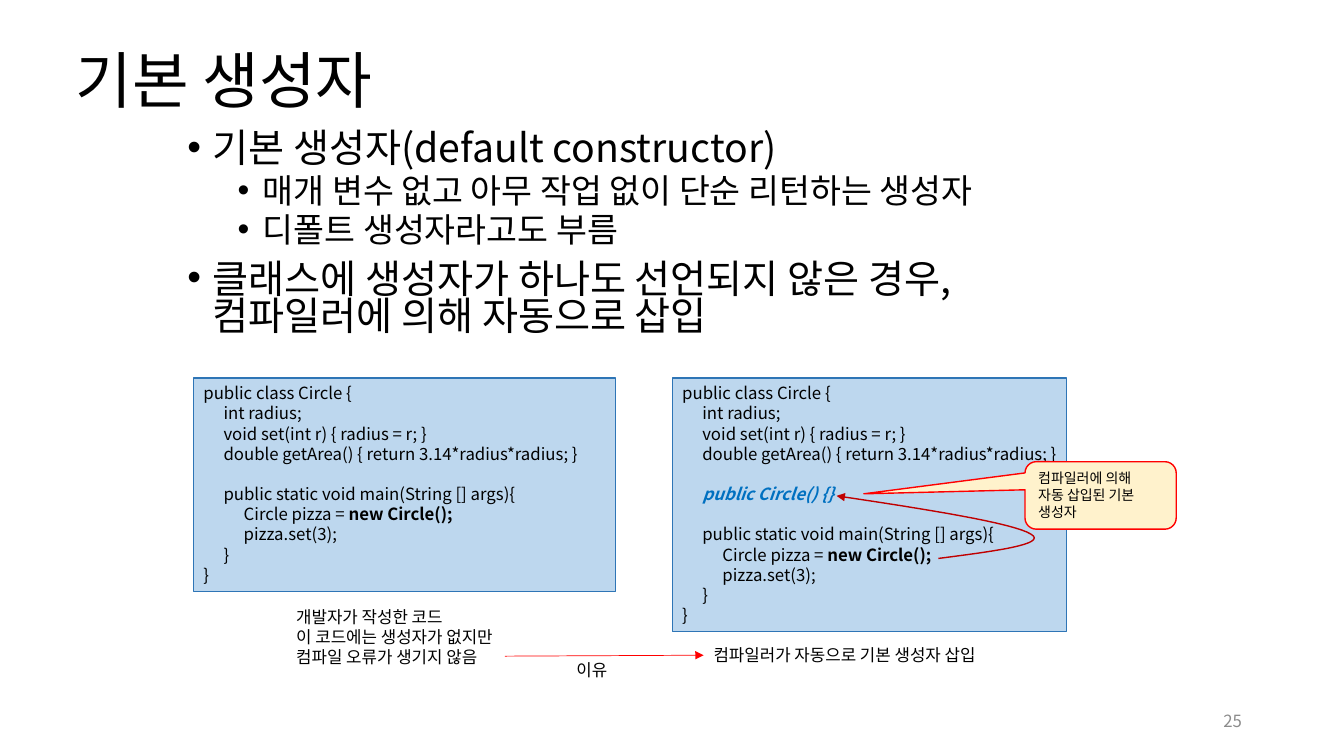
from collections import namedtuple

from lxml import etree
from pptx import Presentation
from pptx.dml.color import RGBColor
from pptx.enum.shapes import MSO_CONNECTOR, MSO_SHAPE
from pptx.enum.text import MSO_ANCHOR, MSO_AUTO_SIZE, PP_ALIGN
from pptx.oxml.ns import qn
from pptx.util import Pt

RECTANGLE = MSO_SHAPE.RECTANGLE
CALLOUT = MSO_SHAPE.ROUNDED_RECTANGULAR_CALLOUT
STRAIGHT = MSO_CONNECTOR.STRAIGHT
TOP, MIDDLE = MSO_ANCHOR.TOP, MSO_ANCHOR.MIDDLE
LEFT, RIGHT = PP_ALIGN.LEFT, PP_ALIGN.RIGHT
FIT_SHAPE = MSO_AUTO_SIZE.SHAPE_TO_FIT_TEXT

FONT = "Noto Sans CJK KR"
BLACK = RGBColor(0x00, 0x00, 0x00)
GRAY = RGBColor(0x8C, 0x8C, 0x8C)
CODE_FILL = RGBColor(0xBD, 0xD7, 0xEE)
CODE_EDGE = RGBColor(0x2E, 0x75, 0xB6)
NOTE_FILL = RGBColor(0xFF, 0xF2, 0xCC)
RED = RGBColor(0xFF, 0x00, 0x00)
DARK_RED = RGBColor(0xC0, 0x00, 0x00)
BLUE = RGBColor(0x00, 0x70, 0xC0)

Box = namedtuple("Box", "left top width height")

TAB = 14.4
CODE_SIZE = 12
CALL = "new Circle();"
CONSTRUCTOR = "public Circle() {}"

CLASS_HEAD = [
    "public class Circle {",
    "\tint radius;",
    "\tvoid set(int r) { radius = r; }",
    "\tdouble getArea() { return 3.14*radius*radius; }",
    "",
]
CLASS_MAIN = [
    "\tpublic static void main(String [] args){",
    "\t\tCircle pizza = " + CALL,
    "\t\tpizza.set(3);",
    "\t}",
    "}",
]
BULLETS = [
    (0, "기본 생성자(default constructor)"),
    (1, "매개 변수 없고 아무 작업 없이 단순 리턴하는 생성자"),
    (1, "디폴트 생성자라고도 부름"),
    (0, "클래스에 생성자가 하나도 선언되지 않은 경우, 컴파일러에 의해 자동으로 삽입"),
]


def style_span(span, size, color=BLACK):
    span.font.size = Pt(size)
    span.font.color.rgb = color
    span.font.name = FONT
    etree.SubElement(span.font._element, qn("a:ea"), typeface=FONT)


def fill_text(shape, lines, size, color=BLACK, align=LEFT):
    shape.text_frame.text = "\n".join(lines)
    for para in shape.text_frame.paragraphs:
        para.alignment = align
        for span in para.runs:
            style_span(span, size, color)


def add_label(page, box, lines, size, color=BLACK, align=LEFT, anchor=TOP, wrap=False):
    label = page.shapes.add_textbox(*map(Pt, box))
    fill_text(label, lines, size, color, align)
    label.text_frame.word_wrap = wrap
    label.text_frame.vertical_anchor = anchor
    if not wrap:
        label.text_frame.auto_size = FIT_SHAPE
    return label


def add_panel(page, box, kind, fill, edge, edge_width):
    panel = page.shapes.add_shape(kind, *map(Pt, box))
    panel.shadow.inherit = False
    panel.fill.solid()
    panel.fill.fore_color.rgb = fill
    panel.line.color.rgb = edge
    panel.line.width = Pt(edge_width)
    panel.text_frame.word_wrap = True
    panel.text_frame.vertical_anchor = TOP
    return panel


def make_arrow(line_shape, color, width):
    line_shape.line.color.rgb = color
    line_shape.line.width = Pt(width)
    etree.SubElement(line_shape.line._get_or_add_ln(), qn("a:tailEnd"), type="triangle")


def add_title(page, box):
    title = add_label(page, box, ["기본 생성자"], 44, anchor=MIDDLE, wrap=True)
    title.text_frame.paragraphs[0].line_spacing = 0.9


def add_bullets(page, box):
    body = add_label(page, box, [text for _, text in BULLETS], 28, wrap=True)
    for index, (level, _) in enumerate(BULLETS):
        para = body.text_frame.paragraphs[index]
        properties = para._p.get_or_add_pPr()
        properties.set("marL", str(Pt(18 + 36 * level)))
        properties.set("indent", str(-Pt(18)))
        etree.SubElement(properties, qn("a:buFont"), typeface="Arial")
        etree.SubElement(properties, qn("a:buChar"), char="•")
        para.level = level
        para.line_spacing = 0.8
        if index:
            para.space_before = Pt(5 if level else 10)
        para.runs[0].font.size = Pt(24 if level else 28)


def add_code_line(para, line):
    para.alignment = LEFT
    tabs = etree.SubElement(para._p.get_or_add_pPr(), qn("a:tabLst"))
    for stop in (1, 2):
        etree.SubElement(tabs, qn("a:tab"), pos=str(Pt(TAB * stop)), algn="l")
    if not line:
        ending = etree.SubElement(para._p, qn("a:endParaRPr"), sz=str(CODE_SIZE * 100))
        for script in ("a:latin", "a:ea"):
            etree.SubElement(ending, qn(script), typeface=FONT)
    key = CONSTRUCTOR if CONSTRUCTOR in line else CALL
    for text in filter(None, line.partition(key)):
        span = para.add_run()
        span.text = text
        style_span(span, CODE_SIZE, BLUE if text == CONSTRUCTOR else BLACK)
        if text == key:
            span.font.bold = True
            span.font.italic = text == CONSTRUCTOR


def add_code(page, box, lines):
    panel = add_panel(page, box, RECTANGLE, CODE_FILL, CODE_EDGE, 0.75)
    frame = panel.text_frame
    frame.margin_right = Pt(0)
    for index, line in enumerate(lines):
        add_code_line(frame.add_paragraph() if index else frame.paragraphs[0], line)


def add_callout(page, box):
    callout = add_panel(page, box, CALLOUT, NOTE_FILL, RED, 1)
    for index, value in enumerate((-1.566, -0.024, 0.167)):
        callout.adjustments[index] = value
    fill_text(callout, ["컴파일러에 의해", "자동 삽입된 기본 생성자"], 10)


def bezier_points(start, first, second, end, steps=16):
    """Points along a cubic curve, without its start."""
    for step in range(1, steps + 1):
        t = step / steps
        weights = ((1 - t) ** 3, 3 * t * (1 - t) ** 2, 3 * t * t * (1 - t), t ** 3)
        yield tuple(
            sum(weight * value for weight, value in zip(weights, axis))
            for axis in zip(start, first, second, end)
        )


def add_call_arrow(page, box):
    """Curved arrow from the call to the inserted constructor in a code box."""
    call, turn, constructor = (190.1, 128.9), (256.3, 111.6), (117.4, 84.2)
    points = [
        *bezier_points(call, (229.7, 123.8), (268.6, 118.8), turn),
        *bezier_points(turn, (244.1, 103.7), (180.7, 93.6), constructor),
    ]
    builder = page.shapes.build_freeform(
        Pt(box.left + call[0]), Pt(box.top + call[1]))
    builder.add_line_segments(
        [(Pt(box.left + x), Pt(box.top + y)) for x, y in points], close=False)
    arrow = builder.convert_to_shape()
    arrow.shadow.inherit = False
    arrow.fill.background()
    make_arrow(arrow, DARK_RED, 1)


def add_explanation(page, box):
    """Captions below the code, with the arrow of the reason between them."""
    left, top = box.left, box.top
    add_label(page, Box(left, top, 172.8, 51.1),
              ["개발자가 작성한 코드", "이 코드에는 생성자가 없지만", "컴파일 오류가 생기지 않음"], 12)
    result = add_label(page, Box(left + 298.1, top + 27.4, 225.4, 21.6),
                       ["컴파일러가 자동으로 기본 생성자 삽입"], 12)
    arrow = page.shapes.add_connector(
        STRAIGHT, Pt(left + 156.2), Pt(top + 38.9), Pt(left + 298.1), Pt(top + 38.2))
    arrow.end_connect(result, 1)
    make_arrow(arrow, RED, 0.5)
    etree.SubElement(arrow._element.spPr, qn("a:effectLst"))
    add_label(page, Box(left + 200.2, top + 38.2, 38.9, 21.6), ["이유"], 12)


def main():
    deck = Presentation()
    deck.slide_width, deck.slide_height = Pt(960), Pt(540)
    page = deck.slides.add_slide(deck.slide_layouts[6])
    written_code = Box(138.2, 270, 301.7, 152.6)
    compiled_code = Box(480.2, 270, 281.8, 181.4)
    add_title(page, Box(46.8, 7.2, 828, 104.4))
    add_bullets(page, Box(126.7, 91.4, 652.3, 163.4))
    add_code(page, written_code, CLASS_HEAD + CLASS_MAIN)
    add_code(page, compiled_code, CLASS_HEAD + ["\t" + CONSTRUCTOR, ""] + CLASS_MAIN)
    add_callout(page, Box(732.2, 329.8, 108, 48.2))
    add_label(page, Box(678.2, 500.4, 216, 28.8), ["25"], 12, GRAY, RIGHT, MIDDLE, True)
    add_call_arrow(page, compiled_code)
    add_explanation(page, Box(204.5, 429.8, 523.5, 59.8))
    deck.save("out.pptx")


if __name__ == "__main__":
    main()
